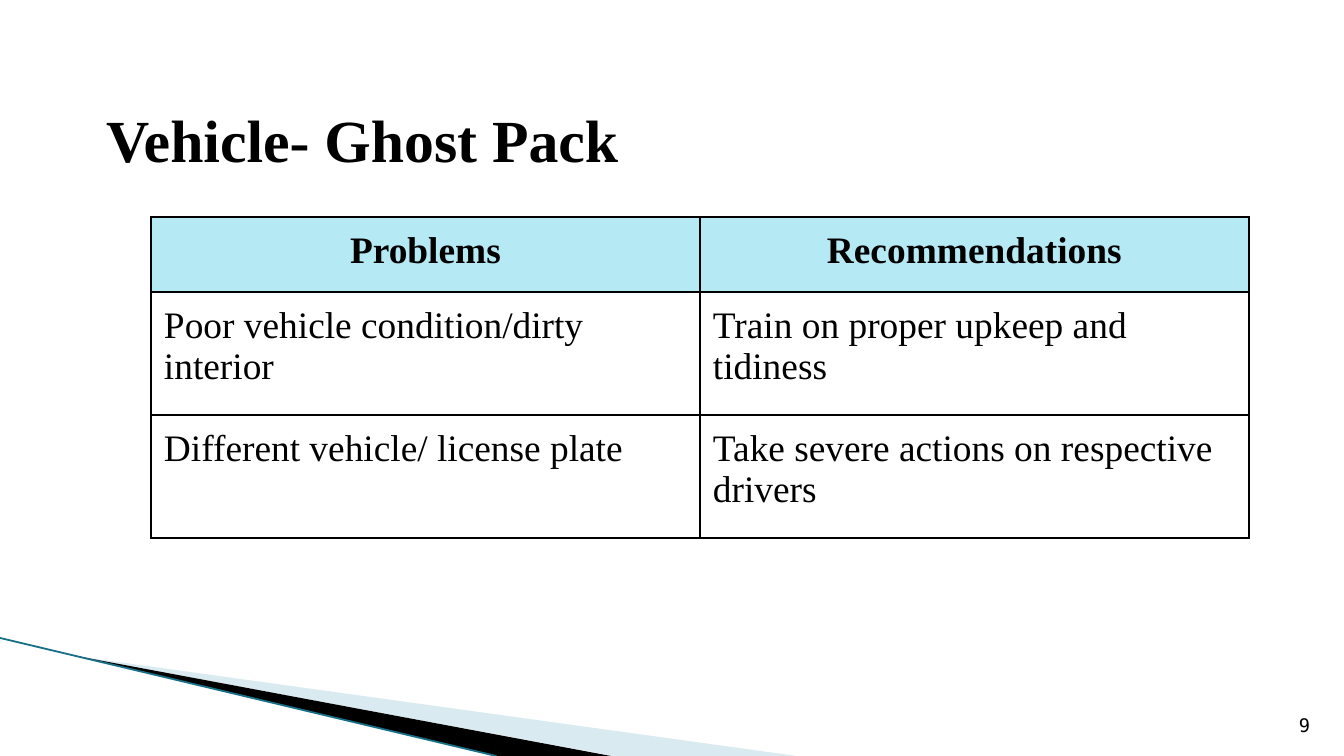
from lxml import etree
from pptx import Presentation
from pptx.dml.color import RGBColor
from pptx.enum.shapes import MSO_CONNECTOR
from pptx.enum.text import MSO_ANCHOR, PP_ALIGN
from pptx.oxml.ns import qn
from pptx.util import Emu, Pt

STRAIGHT = MSO_CONNECTOR.STRAIGHT
TOP, MIDDLE = MSO_ANCHOR.TOP, MSO_ANCHOR.MIDDLE
LEFT, CENTER, RIGHT = PP_ALIGN.LEFT, PP_ALIGN.CENTER, PP_ALIGN.RIGHT

SCALE = 914400 / 134.4
INSET = 13
SERIF, MONO = "Times New Roman", "DejaVu Sans Mono"
COLORS = {"ink": "000000", "header": "B5E9F4", "pale": "A0CBDC", "edge": "187086"}
ROWS = [
    ("Problems", "Recommendations"),
    ("Poor vehicle condition/dirty interior", "Train on proper upkeep and tidiness"),
    ("Different vehicle/ license plate", "Take severe actions on respective drivers"),
]


def px(n):
    """Turn pixels into EMU."""
    return Emu(round(n * SCALE))


def rgb(name):
    """Look up a palette colour."""
    return RGBColor.from_string(COLORS[name])


def set_margins(target, top=INSET):
    """Set the inner margins of a text frame or a cell."""
    target.margin_left = target.margin_right = target.margin_bottom = px(INSET)
    target.margin_top = px(top)


def write(tf, text, size=20, font=SERIF, bold=False, align=LEFT):
    """Put one formatted paragraph in a text frame."""
    tf.word_wrap = True
    p = tf.paragraphs[0]
    p.alignment = align
    r = p.add_run()
    r.text = text
    r.font.size, r.font.name, r.font.bold = Pt(size), font, bold
    r.font.color.rgb = rgb("ink")


def add_wedge(s, points, color, alpha=None):
    """Draw a filled outline, optionally see-through."""
    builder = s.shapes.build_freeform(*points[0], scale=SCALE)
    builder.add_line_segments(points[1:], close=True)
    sp = builder.convert_to_shape()
    sp.shadow.inherit = False
    sp.fill.solid()
    sp.fill.fore_color.rgb = rgb(color)
    sp.line.fill.background()
    if alpha is not None:
        clr = sp.fill._xPr.find(".//" + qn("a:srgbClr"))
        etree.SubElement(clr, qn("a:alpha"), val=str(alpha * 1000))


def add_edge(s, x1, y1, x2, y2):
    """Draw the thin line under the wedges."""
    line = s.shapes.add_connector(STRAIGHT, px(x1), px(y1), px(x2), px(y2))
    line.line.color.rgb = rgb("edge")
    line.line.width = Pt(0.95)
    etree.SubElement(line._element.spPr, qn("a:effectLst"))


def add_title(s, text, x, y, w, h):
    """Place and fill the title placeholder."""
    sp = s.shapes.title
    sp.left, sp.top, sp.width, sp.height = px(x), px(y), px(w), px(h)
    tf = sp.text_frame
    tf.vertical_anchor = TOP
    set_margins(tf, top=21)
    write(tf, text, size=32, bold=True)


def add_page_number(s, text, x, y, w, h):
    """Add the page number box."""
    tf = s.shapes.add_textbox(px(x), px(y), px(w), px(h)).text_frame
    tf.vertical_anchor = MIDDLE
    set_margins(tf)
    write(tf, text, size=10, font=MONO, align=RIGHT)


def add_borders(cell):
    """Give a cell a thin line on every side."""
    tc_pr = cell._tc.get_or_add_tcPr()
    for side in ("lnL", "lnR", "lnT", "lnB"):
        ln = etree.SubElement(tc_pr, qn("a:" + side), w=str(Pt(1)))
        fill = etree.SubElement(ln, qn("a:solidFill"))
        etree.SubElement(fill, qn("a:srgbClr"), val=COLORS["ink"])


def add_grid(s, rows, x, y, col_width, heights):
    """Add the bordered table with a tinted header row."""
    cols = len(rows[0])
    table = s.shapes.add_table(
        len(rows), cols, px(x), px(y), px(col_width * cols), px(sum(heights))
    ).table
    table.first_row = table.horz_banding = False
    for col in table.columns:
        col.width = px(col_width)
    for i, texts in enumerate(rows):
        table.rows[i].height = px(heights[i])
        header = i == 0
        for j, text in enumerate(texts):
            cell = table.cell(i, j)
            set_margins(cell)
            add_borders(cell)
            if header:
                cell.fill.solid()
                cell.fill.fore_color.rgb = rgb("header")
            else:
                cell.fill.background()
            write(cell.text_frame, text, bold=header, align=CENTER if header else LEFT)


def main():
    """Build the slide and save it."""
    prs = Presentation()
    prs.slide_width, prs.slide_height = px(1344), px(756)
    s = prs.slides.add_slide(prs.slide_layouts[5])
    add_wedge(s, [(74, 656), (796, 756), (613, 756)], "pale", alpha=40)
    add_wedge(s, [(71, 655), (611, 756), (498, 756)], "ink")
    add_edge(s, 0, 638, 496, 756)
    add_title(s, "Vehicle- Ghost Pack", 93, 82, 1129, 89)
    add_page_number(s, "9", 1242, 696, 81, 58)
    add_grid(s, ROWS, 151, 217, 549, [75, 123, 123])
    prs.save("out.pptx")


if __name__ == "__main__":
    main()
